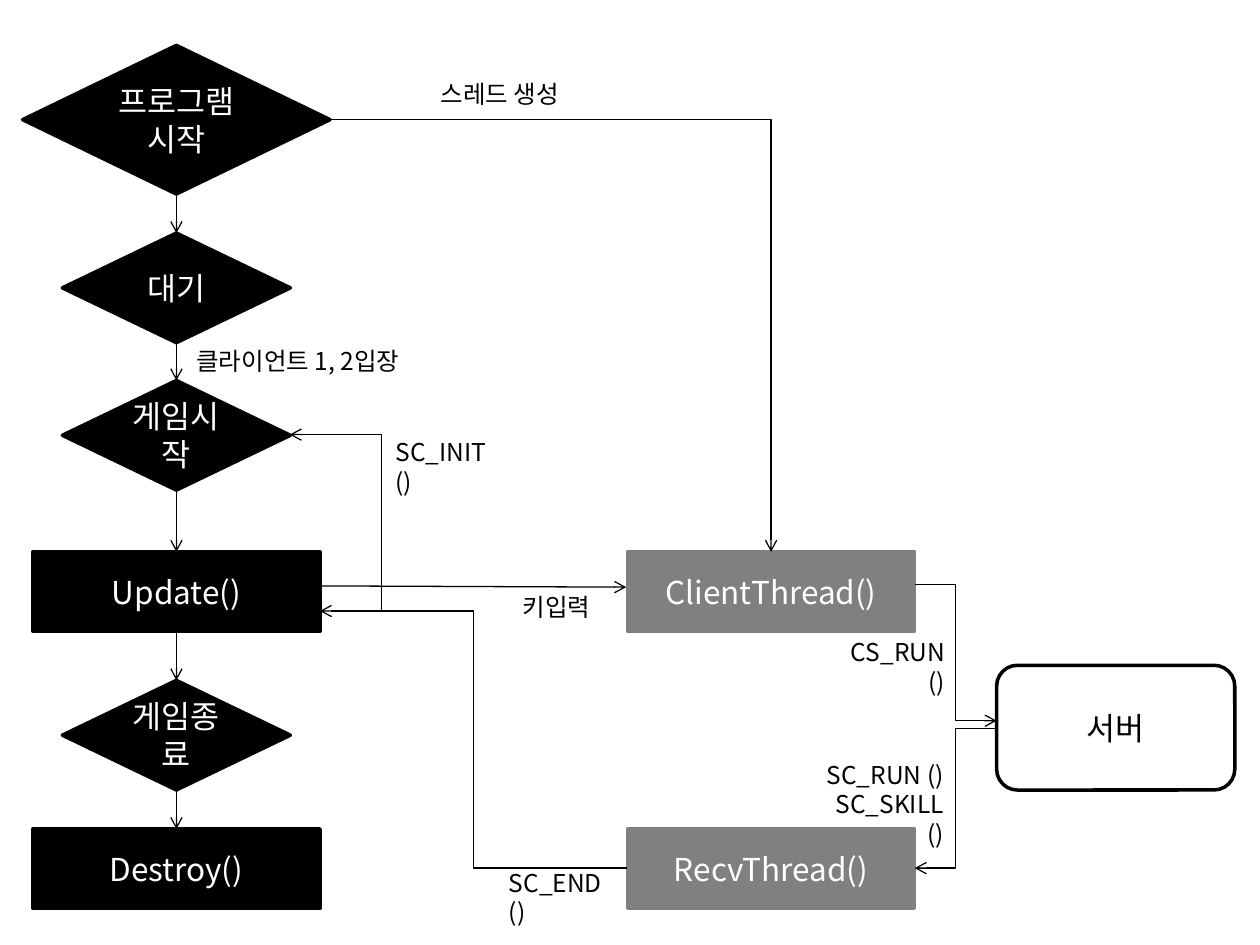
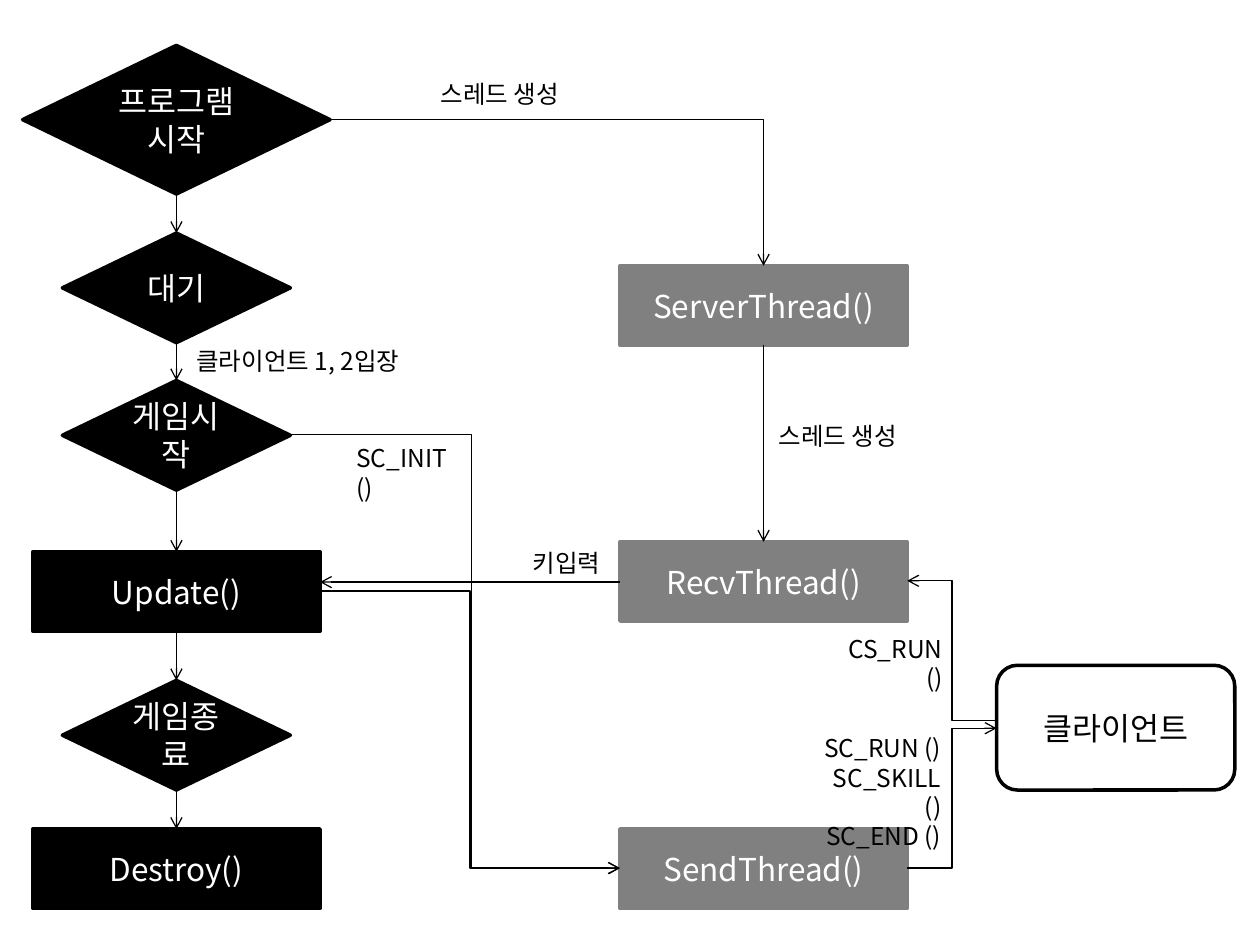
from itertools import pairwise

from lxml.etree import SubElement
from pptx import Presentation
from pptx.dml.color import RGBColor
from pptx.enum.shapes import MSO_CONNECTOR as Link, MSO_SHAPE as Form
from pptx.enum.text import MSO_ANCHOR as Anchor, MSO_AUTO_SIZE as Fit, PP_ALIGN as Align
from pptx.oxml.ns import qn
from pptx.util import Inches, Pt

BLACK = RGBColor(0, 0, 0)
GRAY = RGBColor(0x80, 0x80, 0x80)
WHITE = RGBColor(0xFF, 0xFF, 0xFF)
FONT = "Noto Sans CJK KR"

SIZES = {"start": (2.44, 1.18), "step": (1.81, 0.87), "call": (2.28, 0.63), "peer": (1.89, 0.99)}
FORMS = {"start": Form.DIAMOND, "step": Form.DIAMOND, "call": Form.RECTANGLE,
         "peer": Form.FLOWCHART_ALTERNATE_PROCESS}
MID = 1.4
FLOW = [
    ("start", 0.36, "프로그램시작"),
    ("step", 1.85, "대기"),
    ("step", 3.02, "게임시작"),
    ("call", 4.38, "Update()"),
    ("step", 5.4, "게임종료"),
    ("call", 6.58, "Destroy()"),
]
NOTES = [(3.4, 0.58, 1.25, "스레드 생성"), (1.46, 2.7, 2.04, "클라이언트 1, 2입장")]
PAGES = [
    {
        "peer": "서버",
        "left": 4.98,
        "calls": [(4.38, "ClientThread()"), (6.58, "RecvThread()")],
        "lines": [((2.53, 4.65), (4.97, 4.66))],
        "bends": [
            ((4.98, 6.89), (2.54, 4.85), 0.5),
            ((7.26, 4.64), (7.91, 5.72), 0.5),
            ((7.91, 5.78), (7.26, 6.89), 0.5),
            ((3.76, 4.85), (2.3, 3.45), 0.5),
        ],
        "notes": [
            (3.04, 3.42, 1.07, "SC_INIT ()"),
            (4.05, 4.65, 0.79, "키입력"),
            (3.94, 6.84, 1.1, "SC_END ()"),
        ],
        "sends": [(6.49, 5.01, 1.11, "CS_RUN ()"), (6.42, 5.98, 1.17, "SC_RUN ()\nSC_SKILL ()")],
    },
    {
        "peer": "클라이언트",
        "left": 4.92,
        "calls": [(2.11, "ServerThread()"), (4.3, "RecvThread()"), (6.58, "SendThread()")],
        "lines": [((6.06, 2.74), (6.06, 4.3)), ((4.92, 4.62), (2.54, 4.62))],
        "bends": [
            ((7.91, 5.72), (7.2, 4.61), 0.5),
            ((2.54, 4.69), (4.92, 6.89), 0.5),
            ((7.2, 6.89), (7.91, 5.78), 0.5),
            ((2.3, 3.45), (4.92, 6.89), 0.55),
        ],
        "notes": [
            (4.13, 4.3, 0.79, "키입력"),
            (2.73, 3.47, 1.07, "SC_INIT ()"),
            (6.08, 3.29, 1.25, "스레드 생성"),
        ],
        "sends": [
            (6.47, 4.98, 1.11, "CS_RUN ()"),
            (6.4, 5.77, 1.17, "SC_RUN ()\nSC_SKILL ()\nSC_END ()"),
        ],
    },
]
BOX = {"word_wrap": True, "vertical_anchor": Anchor.MIDDLE}
NOTE = {"word_wrap": True, "vertical_anchor": Anchor.TOP, "auto_size": Fit.SHAPE_TO_FIT_TEXT}


def apply(item, style):
    for name, value in style.items():
        setattr(item, name, value)


def write(shape, text, style, size, color, align):
    frame = shape.text_frame
    frame.text = text
    apply(frame, style)
    for para in frame.paragraphs:
        para.alignment = align
        for run in para.runs:
            apply(run.font, {"name": FONT, "size": Pt(size)})
            run.font.color.rgb = color
            SubElement(run.font._element, qn("a:ea"), typeface=FONT)


def add_box(slide, kind, left, top, text, fill, edge, ink):
    shape = slide.shapes.add_shape(FORMS[kind], *map(Inches, (left, top, *SIZES[kind])))
    shape.shadow.inherit = False
    shape.fill.solid()
    shape.fill.fore_color.rgb = fill
    shape.line.color.rgb = edge
    shape.line.width = Pt(2)
    SubElement(shape.line._get_or_add_ln(), qn("a:round"))
    write(shape, text, BOX, 18, ink, Align.CENTER)


def add_note(slide, left, top, width, text, align):
    box = slide.shapes.add_textbox(*map(Inches, (left, top, width, 0.1 + 0.24 * len(text.split("\n")))))
    write(box, text, NOTE, 14, BLACK, align)


def add_arrow(slide, start, end, kind=Link.STRAIGHT, turn=0.5, form=None):
    arrow = slide.shapes.add_connector(kind, *map(Inches, (*start, *end)))
    arrow.line.color.rgb = BLACK
    arrow.line.width = Pt(0.75)
    SubElement(arrow.line._get_or_add_ln(), qn("a:tailEnd"), type="arrow")
    props = arrow._element.spPr
    SubElement(props, qn("a:effectLst"))
    geom = props.find(qn("a:prstGeom"))
    if form:
        geom.set("prst", form)
    elif turn != 0.5:
        SubElement(geom.find(qn("a:avLst")), qn("a:gd"), name="adj1", fmla=f"val {round(turn * 100000)}")


def add_flow(slide):
    for kind, top, text in FLOW:
        add_box(slide, kind, MID - SIZES[kind][0] / 2, top, text, BLACK, BLACK, WHITE)
    for (kind, top, _), (_, below, _) in pairwise(FLOW):
        add_arrow(slide, (MID, top + SIZES[kind][1]), (MID, below))


def add_page(deck, page):
    slide = deck.slides.add_slide(deck.slide_layouts[6])
    add_flow(slide)
    left, calls = page["left"], page["calls"]
    for top, text in calls:
        add_box(slide, "call", left, top, text, GRAY, GRAY, WHITE)
    add_box(slide, "peer", 7.91, 5.28, page["peer"], WHITE, BLACK, BLACK)
    goal = (left + SIZES["call"][0] / 2, calls[0][0])
    add_arrow(slide, (2.62, 0.95), goal, Link.ELBOW, form="bentConnector2")
    for start, end in page["lines"]:
        add_arrow(slide, start, end)
    for start, end, turn in page["bends"]:
        add_arrow(slide, start, end, Link.ELBOW, turn)
    for note in NOTES + page["notes"]:
        add_note(slide, *note, Align.LEFT)
    for note in page["sends"]:
        add_note(slide, *note, Align.RIGHT)


def main():
    """Build the client and server flow charts."""
    deck = Presentation()
    apply(deck, {"slide_width": Inches(10), "slide_height": Inches(7.5)})
    for page in PAGES:
        add_page(deck, page)
    deck.save("out.pptx")


if __name__ == "__main__":
    main()
